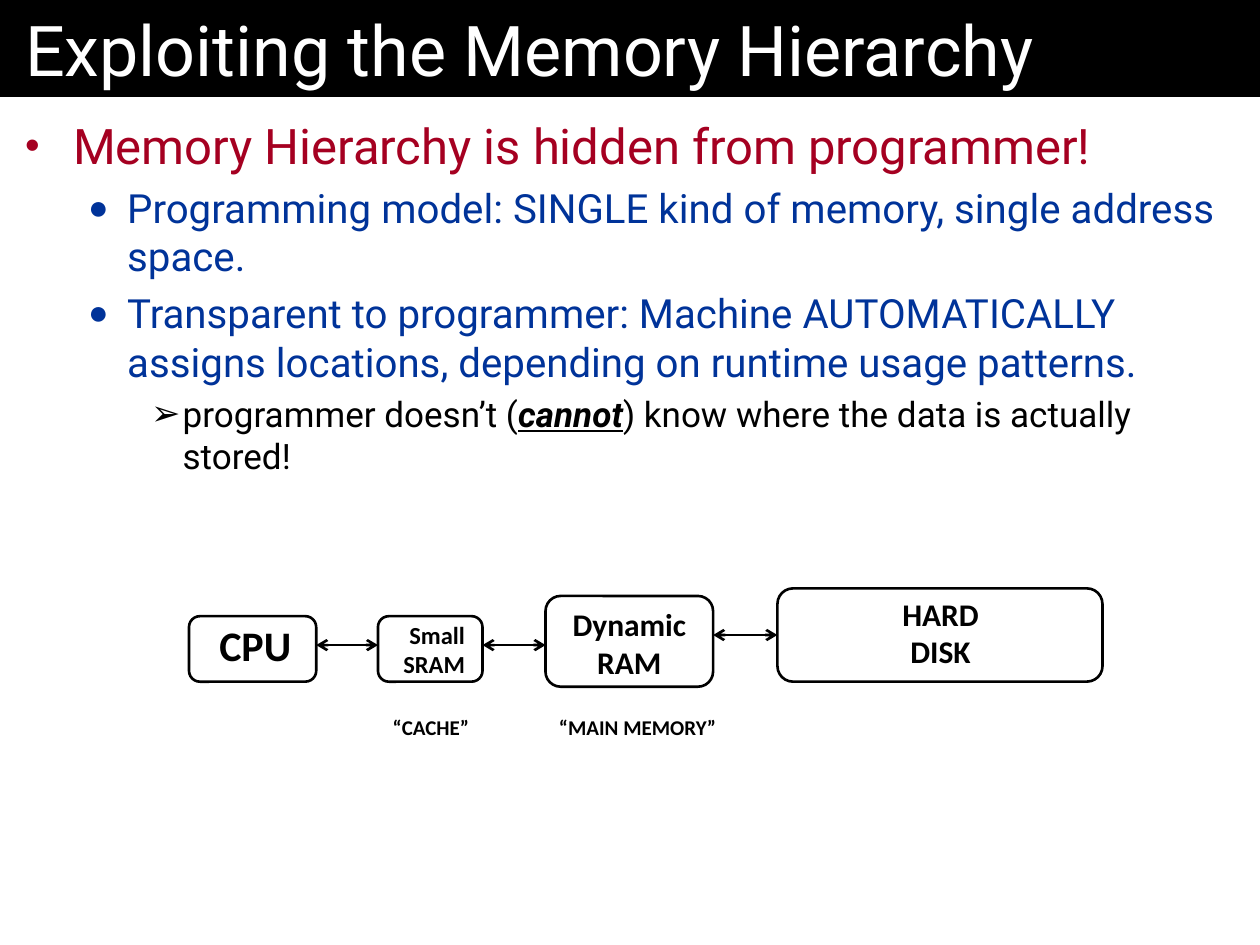
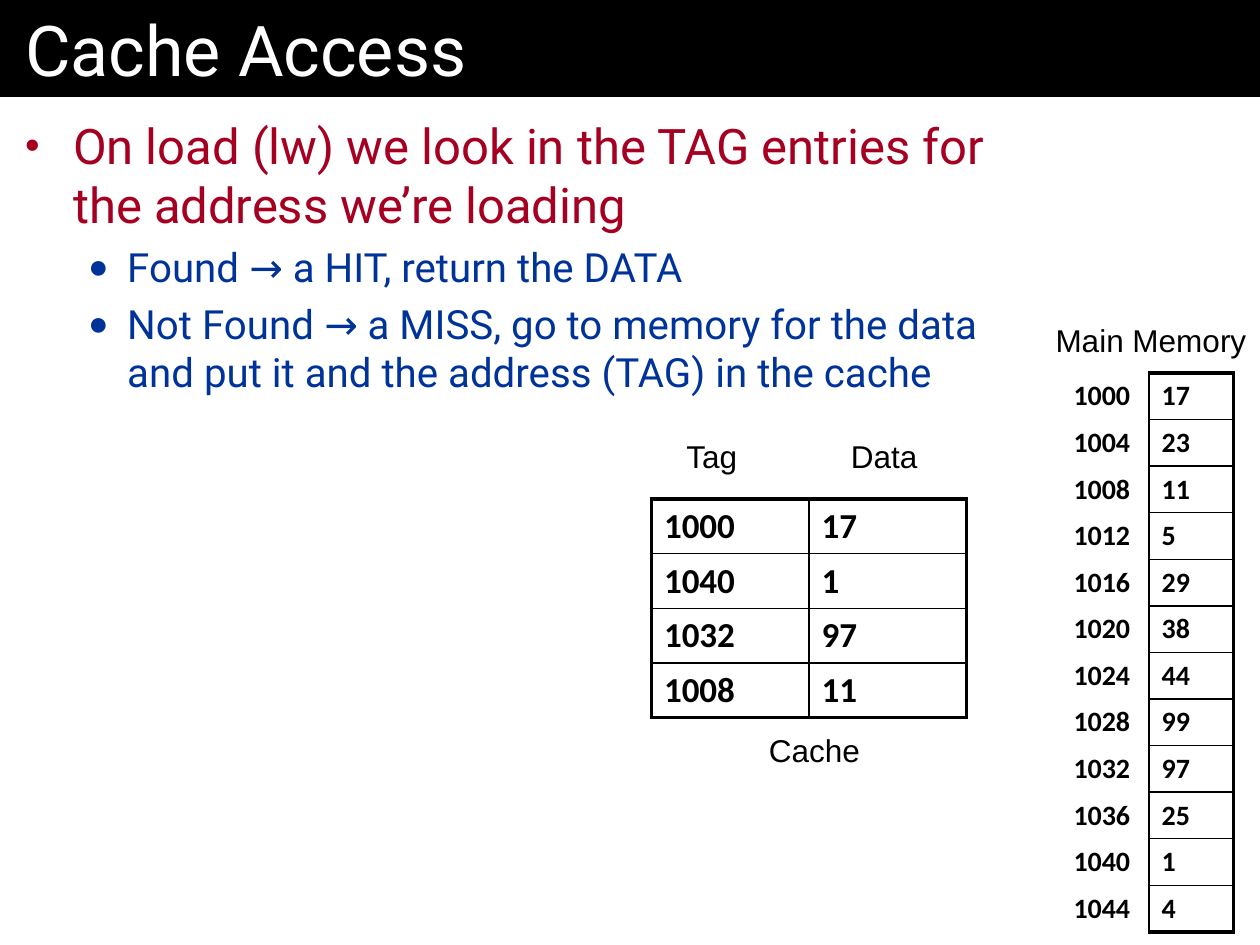
import pptx
import pptx.util
import pptx.dml.color
import pptx.enum.shapes
import pptx.enum.text
import pptx.oxml
import pptx.oxml.ns
from lxml import etree

Inches, Pt = pptx.util.Inches, pptx.util.Pt
Align = pptx.enum.text.PP_ALIGN
Anchor = pptx.enum.text.MSO_ANCHOR
Shape = pptx.enum.shapes.MSO_SHAPE

# Content: a bullet is (level, [(text, emphasised), ...])
HIERARCHY_TITLE = "Exploiting the Memory Hierarchy"
HIERARCHY_BULLETS = [
    (0, [("Memory Hierarchy is hidden from programmer!", False)]),
    (1, [("Programming model: SINGLE kind of memory, single address space.", False)]),
    (1, [("Transparent to programmer: Machine AUTOMATICALLY assigns locations, "
          "depending on runtime usage patterns.", False)]),
    (2, [("programmer doesn’t (", False), ("cannot", True),
         (") know where the data is actually stored!", False)]),
]
# Outline and label areas are left, top, width, height
MEMORY_LEVELS = [
    {"outline": (1.5, 4.89, 1.01, 0.52), "label": (1.5, 4.87, 0.91, 0.51),
     "lines": ["CPU"], "size": 24, "align": Align.RIGHT},
    {"outline": (3, 4.89, 0.83, 0.52), "label": (2.99, 4.87, 0.8, 0.57),
     "lines": ["Small", "SRAM"], "size": 14, "align": Align.RIGHT},
    {"outline": (4.33, 4.73, 1.33, 0.72), "label": (4.37, 4.75, 1.25, 0.71),
     "lines": ["Dynamic", "RAM"], "size": 18, "align": Align.CENTER},
    {"outline": (6.17, 4.67, 2.58, 0.74), "label": (7, 4.67, 0.93, 0.71),
     "lines": ["HARD", "DISK"], "size": 18, "align": Align.CENTER},
]
ARROW_HEIGHTS = [5.12, 5.12, 5.04]
LEVEL_CAPTIONS = [("“MAIN MEMORY”", (4.25, 5.62, 1.62, 0.3)),
                  ("“CACHE”", (2.92, 5.62, 1, 0.3))]

ACCESS_TITLE = "Cache Access"
ACCESS_BULLETS = [
    (0, [("On load (lw) we look in the TAG entries for the address we’re loading", False)]),
    (1, [("Found → a HIT, return the DATA", False)]),
    (1, [("Not Found → a MISS, go to memory for the data and put it and the "
          "address (TAG) in the cache", False)]),
]
CACHE_ROWS = [(1000, 17), (1040, 1), (1032, 97), (1008, 11)]
MEMORY_VALUES = [17, 23, 11, 5, 29, 38, 44, 99, 97, 25, 1, 4]
MEMORY_ROWS = [(1000 + 4 * index, value) for index, value in enumerate(MEMORY_VALUES)]
TABLE_LABELS = [("Main Memory", (8.27, 2.5, 1.73, 0.4), Align.CENTER),
                ("Tag", (5.32, 3.42, 0.63, 0.4), Align.RIGHT),
                ("Data", (6.65, 3.42, 0.73, 0.4), Align.RIGHT),
                ("Cache", (6, 5.75, 0.93, 0.4), Align.CENTER)]

# Shared style
COLORS = {"black": "000000", "white": "FFFFFF", "red": "A50021", "blue": "003399"}
BAND_HEIGHT = 0.77
THIN, THICK = 1, 2.25
BULLET_STYLES = [
    {"char": "•", "color": "red", "size": 28, "left": 0.38, "hang": 0.38, "scale": 85, "before": 5.5},
    {"char": "●", "color": "blue", "size": 23, "left": 0.81, "hang": 0.31, "scale": 85, "before": 5},
    {"char": "➢", "color": "black", "size": 20, "left": 1.25, "hang": 0.25, "scale": 100, "before": 4},
]


def rgb(name):
    return pptx.dml.color.RGBColor.from_string(COLORS[name])


def area(numbers):
    return [Inches(number) for number in numbers]


def add_element(parent, tag, **attributes):
    element = etree.SubElement(parent, pptx.oxml.ns.qn(tag))
    for key, value in attributes.items():
        element.set(key, str(value))
    return element


def set_font(paragraph, name, size, color="black", bold=False):
    font = paragraph.font
    font.name, font.size, font.bold = name, Pt(size), bold
    font.color.rgb = rgb(color)


def set_margins(frame, side, edge):
    frame.margin_left = frame.margin_right = Inches(side)
    frame.margin_top = frame.margin_bottom = Inches(edge)


def add_label(page, lines, place, font, size, align, bold=False):
    frame = page.shapes.add_textbox(*area(place)).text_frame
    frame.word_wrap = False
    frame.auto_size = pptx.enum.text.MSO_AUTO_SIZE.SHAPE_TO_FIT_TEXT
    frame.text = "\n".join(lines)
    for para in frame.paragraphs:
        para.alignment = align
        set_font(para, font, size, bold=bold)


def add_title(page, title):
    band = page.shapes.add_shape(Shape.RECTANGLE, *area((0, 0, 10, BAND_HEIGHT)))
    band.shadow.inherit = False
    band.fill.solid()
    band.fill.fore_color.rgb = rgb("black")
    band.line.fill.background()
    frame = band.text_frame
    frame.word_wrap = True
    frame.vertical_anchor = Anchor.MIDDLE
    set_margins(frame, 0.2, 0.05)
    para = frame.paragraphs[0]
    para.text = title
    para.alignment = Align.LEFT
    set_font(para, "Roboto", 40, "white")


def add_bullets(page, bullets, width):
    box = page.shapes.add_textbox(*area((0, BAND_HEIGHT, width, 7.5 - BAND_HEIGHT)))
    frame = box.text_frame
    frame.word_wrap = True
    set_margins(frame, 0.2, 0.15)
    for index, (level, spans) in enumerate(bullets):
        style = BULLET_STYLES[level]
        para = frame.add_paragraph() if index else frame.paragraphs[0]
        para.level = level
        properties = para._p.get_or_add_pPr()
        properties.set("marL", str(Inches(style["left"])))
        properties.set("indent", str(-Inches(style["hang"])))
        add_element(add_element(properties, "a:buClr"), "a:srgbClr", val=COLORS[style["color"]])
        add_element(properties, "a:buSzPct", val=style["scale"] * 1000)
        add_element(properties, "a:buFont", typeface="Arial")
        add_element(properties, "a:buChar", char=style["char"])
        if index:
            para.space_before = Pt(style["before"])
        set_font(para, "Roboto", style["size"], style["color"])
        for text, emphasised in spans:
            span = para.add_run()
            span.text = text
            if emphasised:
                span.font.bold = span.font.italic = span.font.underline = True


def add_level(page, level):
    outline = page.shapes.add_shape(Shape.ROUNDED_RECTANGLE, *area(level["outline"]))
    outline.shadow.inherit = False
    outline.fill.background()
    outline.line.color.rgb = rgb("black")
    outline.line.width = Pt(1.5)
    add_label(page, level["lines"], level["label"], "Calibri", level["size"],
              level["align"], bold=True)
    return outline


def add_double_arrow(page, start, end, height):
    arrow = page.shapes.add_connector(pptx.enum.shapes.MSO_CONNECTOR.STRAIGHT,
                                      start, Inches(height), end, Inches(height))
    arrow.line.color.rgb = rgb("black")
    arrow.line.width = Pt(1.5)
    line = arrow.line._get_or_add_ln()
    for tag in ("a:headEnd", "a:tailEnd"):
        add_element(line, tag, type="arrow")
    add_element(arrow._element.spPr, "a:effectLst")
    return arrow


def set_borders(cell, widths):
    properties = cell._tc.get_or_add_tcPr()
    for side in "LRTB":
        width = widths.get(side, 0)
        line = add_element(properties, "a:ln" + side, w=Pt(width))
        if width:
            add_element(add_element(line, "a:solidFill"), "a:srgbClr", val=COLORS["black"])
        else:
            add_element(line, "a:noFill")


def add_grid(page, rows, left, top, widths, row_height, size, framed_from):
    """Columns from framed_from on are ruled, with a thick outer frame."""
    place = area((left, top, sum(widths), row_height * len(rows)))
    table = page.shapes.add_table(len(rows), len(widths), *place).table
    table.first_row = table.horz_banding = False
    for column, width in zip(table.columns, widths):
        column.width = Inches(width)
    last_row, last_column = len(rows) - 1, len(widths) - 1
    for y, values in enumerate(rows):
        table.rows[y].height = Inches(row_height)
        for x, value in enumerate(values):
            cell = table.cell(y, x)
            if x < framed_from:
                borders = {"R": THIN}
            else:
                borders = {"L": THICK if x == 0 else THIN,
                           "R": THICK if x == last_column else THIN,
                           "T": THICK if y == 0 else THIN,
                           "B": THICK if y == last_row else THIN}
            set_borders(cell, borders)
            cell.fill.background()
            para = cell.text_frame.paragraphs[0]
            para.text = str(value)
            set_font(para, "Calibri", size, bold=True)


def add_page(deck, title, bullets, width):
    page = deck.slides.add_slide(deck.slide_layouts[6])
    add_title(page, title)
    add_bullets(page, bullets, width)
    return page


def build_hierarchy(deck):
    page = add_page(deck, HIERARCHY_TITLE, HIERARCHY_BULLETS, 10)
    outlines = [add_level(page, level) for level in MEMORY_LEVELS]
    for before, after, height in zip(outlines, outlines[1:], ARROW_HEIGHTS):
        arrow = add_double_arrow(page, before.left + before.width, after.left, height)
    # The last arrow meets the disk at the middle of its left side
    arrow.end_connect(outlines[-1], 1)
    for text, place in LEVEL_CAPTIONS:
        add_label(page, [text], place, "Calibri", 12, Align.CENTER, bold=True)


def build_access(deck):
    page = add_page(deck, ACCESS_TITLE, ACCESS_BULLETS, 8.42)
    add_grid(page, CACHE_ROWS, 5.17, 3.96, (1.25, 1.25), 0.43, 20, framed_from=0)
    add_grid(page, MEMORY_ROWS, 8.42, 2.96, (0.7, 0.67), 0.37, 16, framed_from=1)
    for text, place, align in TABLE_LABELS:
        add_label(page, [text], place, "Arial", 18, align)


def main():
    deck = pptx.Presentation()
    deck.slide_width, deck.slide_height = Inches(10), Inches(7.5)
    build_hierarchy(deck)
    build_access(deck)
    deck.save("out.pptx")


if __name__ == "__main__":
    main()
